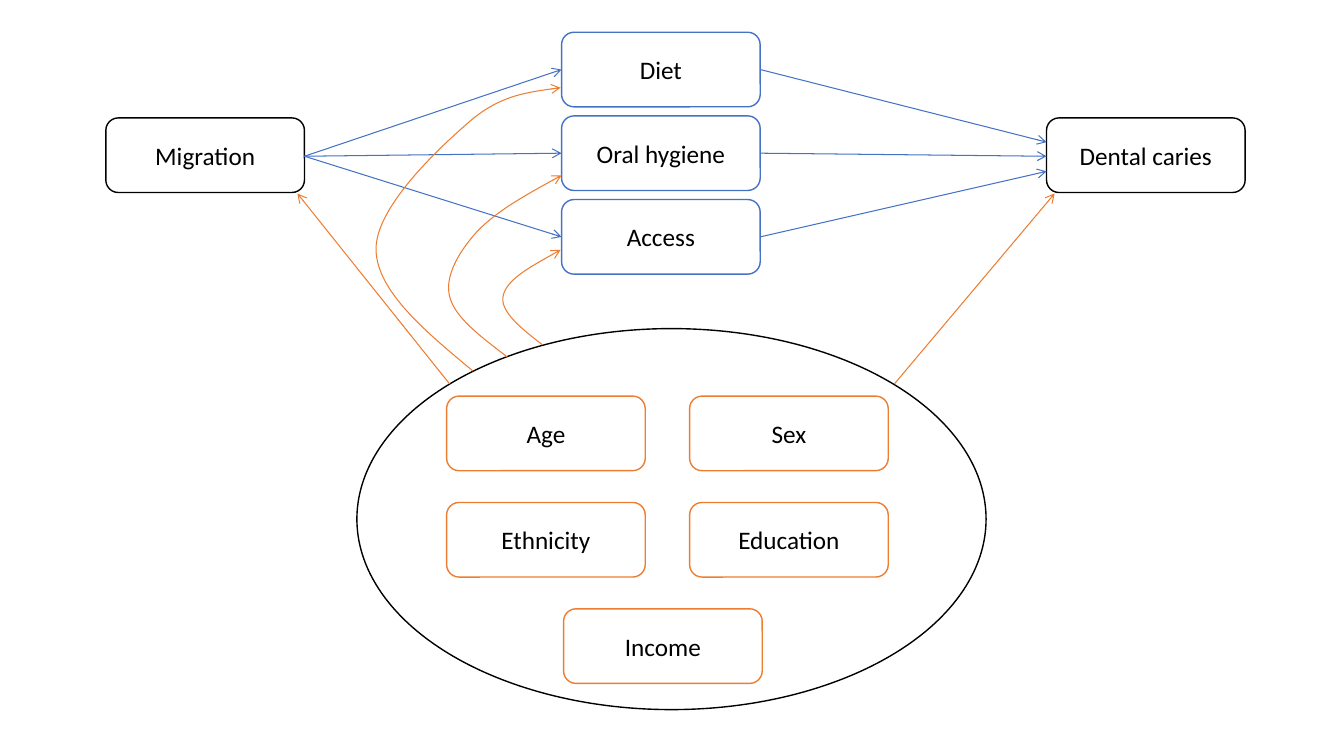
from lxml import etree
from pptx import Presentation
from pptx.dml.color import RGBColor
from pptx.enum import shapes, text
from pptx.oxml import ns
from pptx.util import Inches, Pt

BLACK, BLUE, ORANGE = "000000", "4472C4", "ED7D31"
BOX_W, BOX_H = 1.97, 0.74


def rgb(value):
    """Turn a hex string into a colour."""
    return RGBColor.from_string(value)


def write(tf, content, size=18, font="Calibri", color=BLACK,
          align=text.PP_ALIGN.CENTER):
    """Put one formatted line of text in a text frame."""
    tf.word_wrap = True
    tf.vertical_anchor = text.MSO_ANCHOR.MIDDLE
    p = tf.paragraphs[0]
    p.alignment = align
    r = p.add_run()
    r.text = content
    r.font.size = Pt(size)
    r.font.name = font
    r.font.color.rgb = rgb(color)


class Diagram:
    """Hold the line style and the current slide."""

    outline, arrow_width = 1, 0.75

    def __init__(self, slide):
        """Keep the slide to draw on."""
        self.s = slide

    def stroke(self, sp, color, width):
        """Set the colour and width of a line."""
        sp.line.color.rgb = rgb(color)
        sp.line.width = Pt(width)

    def arrowhead(self, sp):
        """Add an open arrowhead at the end of a line."""
        ln = sp.element.spPr.find(ns.qn("a:ln"))
        etree.SubElement(ln, ns.qn("a:tailEnd"), type="arrow")

    def outlined(self, kind, x, y, w, h, color):
        """Add a preset shape with an outline and no fill."""
        sp = self.s.shapes.add_shape(kind, Inches(x), Inches(y), Inches(w), Inches(h))
        sp.shadow.inherit = False
        sp.fill.background()
        self.stroke(sp, color, self.outline)
        return sp

    def box(self, label, x, y, color):
        """Add a rounded box with a label."""
        sp = self.outlined(shapes.MSO_SHAPE.ROUNDED_RECTANGLE, x, y, BOX_W, BOX_H, color)
        write(sp.text_frame, label)

    def arrow(self, start, end, color):
        """Add a straight arrow."""
        sp = self.s.shapes.add_connector(
            shapes.MSO_CONNECTOR.STRAIGHT, *map(Inches, start + end))
        self.stroke(sp, color, self.arrow_width)
        self.arrowhead(sp)
        etree.SubElement(sp.element.spPr, ns.qn("a:effectLst"))

    def curve(self, points, color):
        """Add a curved arrow: a start, then three Bezier points per segment."""
        (x, y), *rest = [(Inches(px), Inches(py)) for px, py in points]
        builder = self.s.shapes.build_freeform(x, y)
        builder.add_line_segments(rest, close=False)
        sp = builder.convert_to_shape()
        sp.shadow.inherit = False
        sp.fill.background()
        self.stroke(sp, color, self.arrow_width)
        self.arrowhead(sp)
        steps = list(sp.element.iter(ns.qn("a:lnTo")))
        for i in range(0, len(steps), 3):
            bezier = etree.Element(ns.qn("a:cubicBezTo"))
            steps[i].addprevious(bezier)
            for step in steps[i:i + 3]:
                bezier.append(step[0])
                step.getparent().remove(step)


prs = Presentation()
prs.slide_width, prs.slide_height = Inches(13.33), Inches(7.5)
d = Diagram(prs.slides.add_slide(prs.slide_layouts[6]))

# Exposure and outcome
cause_x, mediator_x, outcome_x, main_y = 1.05, 5.57, 10.38, 1.17
main_mid = 1.55
d.box("Migration", cause_x, main_y, BLACK)
d.box("Dental caries", outcome_x, main_y, BLACK)

# Mediators, each with an arrow in and an arrow out
mediators = [("Diet", 1.41), ("Oral hygiene", main_mid), ("Access", 1.7)]
for row, (label, outcome_y) in enumerate(mediators):
    y = 0.32 + 0.83 * row
    mid = y + BOX_H / 2
    d.box(label, mediator_x, y, BLUE)
    d.arrow((cause_x + BOX_W, main_mid), (mediator_x, mid), BLUE)
    d.arrow((mediator_x + BOX_W, mid), (outcome_x, outcome_y), BLUE)

# Confounders
left, right, top, pitch = 4.43, 6.84, 3.93, 1.055
for row, pair in enumerate([("Age", "Sex"), ("Ethnicity", "Education")]):
    for x, label in zip((left, right), pair):
        d.box(label, x, top + pitch * row, ORANGE)
d.box("Income", 5.59, top + pitch * 2, ORANGE)
d.outlined(shapes.MSO_SHAPE.OVAL, 3.54, 3.26, 6.24, 3.78, BLACK)

# Confounder effects
d.arrow((4.46, 3.81), (2.95, 1.92), ORANGE)
d.arrow((8.87, 3.81), (10.46, 1.92), ORANGE)
for points in (
    [(5.38, 3.42), (5.17, 3.26), (4.96, 3.09), (4.99, 2.94),
     (5.02, 2.78), (5.29, 2.63), (5.56, 2.48)],
    [(5.03, 3.54), (4.77, 3.34), (4.51, 3.15), (4.46, 2.94),
     (4.41, 2.74), (4.55, 2.5), (4.73, 2.3),
     (4.92, 2.1), (5.24, 1.92), (5.57, 1.74)],
    [(4.69, 3.68), (4.22, 3.29), (3.74, 2.89), (3.73, 2.48),
     (3.72, 2.07), (4.32, 1.5), (4.63, 1.23),
     (4.93, 0.96), (5.25, 0.91), (5.56, 0.87)],
):
    d.curve(points, ORANGE)

prs.save("out.pptx")
